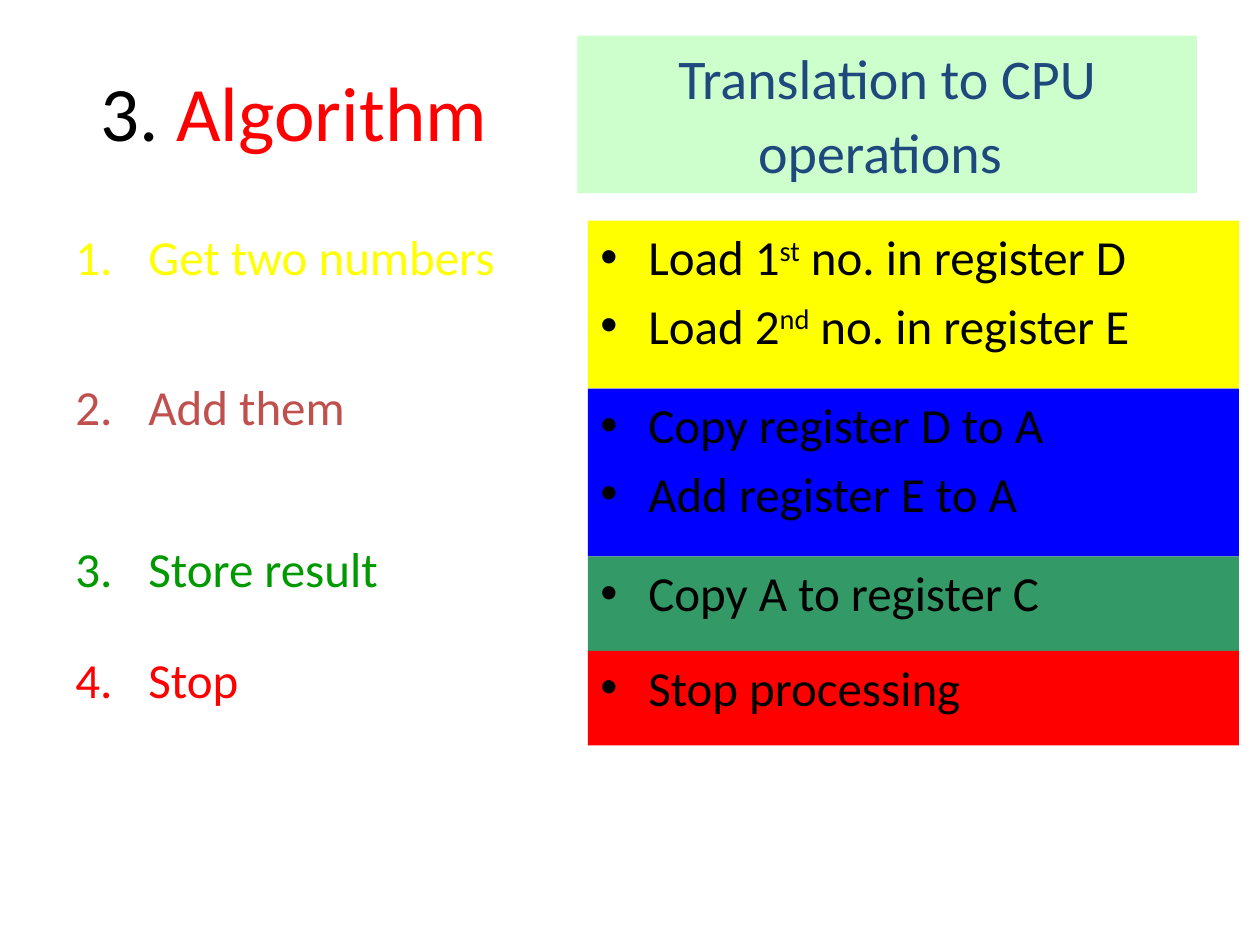
from lxml.etree import SubElement
from pptx import Presentation
from pptx.dml.color import RGBColor
from pptx.enum.shapes import MSO_SHAPE
from pptx.enum.text import MSO_ANCHOR, PP_ALIGN
from pptx.oxml.ns import qn
from pptx.util import Inches, Pt

UNIT = Inches(1) / 12  # the slide is a grid of 120 columns by 90 rows
FONT = "Calibri"
BODY_SIZE = 28
BULLET_GAP = 5.6
COLORS = {
    "black": "000000", "yellow": "FFFF00", "brick": "C0504D", "green": "009900",
    "red": "FF0000", "navy": "1F497D", "mint": "CCFFCC", "blue": "0000FF",
    "sea": "339966",
}
RIGHT_COL, RIGHT_COLS, BODY_ROW = 56, 62, 21

# Step, colour, space before it in points
STEPS = [
    ("Get two numbers", "yellow", 0),
    ("Add them", "brick", 52),
    ("Store result", "green", 59),
    ("Stop", "red", 30),
]

# Fill, rows, bullets; each bullet is a list of (text, is superscript)
OPERATIONS = [
    ("yellow", 16, [
        [("Load 1", False), ("st", True), (" no. in register D", False)],
        [("Load 2", False), ("nd", True), (" no. in register E", False)],
    ]),
    ("blue", 16, [[("Copy register D to A", False)],
                  [("Add register E to A", False)]]),
    ("sea", 9, [[("Copy A to register C", False)]]),
    ("red", 9, [[("Stop processing", False)]]),
]


def rgb(color):
    return RGBColor.from_string(COLORS[color])


def grid(*cells):
    return [round(cell * UNIT) for cell in cells]


def add_run(paragraph, text, size, color, superscript=False):
    run = paragraph.add_run()
    run.text = text
    run.font.name = FONT
    run.font.size = Pt(size)
    run.font.color.rgb = rgb(color)
    if superscript:
        run.font._element.set("baseline", "30000")


def add_text_area(slide, col, row, cols, rows, anchor=MSO_ANCHOR.TOP):
    frame = slide.shapes.add_textbox(*grid(col, row, cols, rows)).text_frame
    frame.word_wrap = True
    frame.vertical_anchor = anchor
    return frame


def add_panel(slide, col, row, cols, rows, fill, anchor=MSO_ANCHOR.TOP):
    panel = slide.shapes.add_shape(MSO_SHAPE.RECTANGLE, *grid(col, row, cols, rows))
    panel.shadow.inherit = False
    panel.fill.solid()
    panel.fill.fore_color.rgb = rgb(fill)
    panel.line.fill.background()
    panel.text_frame.vertical_anchor = anchor
    return panel.text_frame


def add_list_item(frame, index, indent, space_before, marker, **marker_settings):
    item = frame.add_paragraph() if index else frame.paragraphs[0]
    item.alignment = PP_ALIGN.LEFT
    item.space_before = Pt(space_before)
    properties = item._p.get_or_add_pPr()
    properties.set("marL", str(Inches(indent)))
    properties.set("indent", str(-Inches(indent)))
    if marker == "a:buChar":
        SubElement(properties, qn("a:buFont"), typeface="Arial")
    SubElement(properties, qn(marker), **marker_settings)
    return item


def add_headings(slide):
    title = add_text_area(slide, 5, 3, 46, 15, MSO_ANCHOR.MIDDLE).paragraphs[0]
    title.alignment = PP_ALIGN.CENTER
    add_run(title, "3.", 44, "black")
    add_run(title, " Algorithm", 44, "red")

    translation = add_panel(slide, 55, 3.4, 59, 15, "mint",
                            MSO_ANCHOR.MIDDLE).paragraphs[0]
    translation.alignment = PP_ALIGN.CENTER
    add_run(translation, "Translation to CPU operations", 32, "navy")
    add_run(translation, " ", 36, "navy")


def add_steps(slide):
    frame = add_text_area(slide, 6, BODY_ROW, 48, 59.4)
    for index, (step, color, gap) in enumerate(STEPS):
        item = add_list_item(frame, index, 0.58, gap, "a:buAutoNum",
                             type="arabicPeriod", startAt=str(index + 1))
        add_run(item, step, BODY_SIZE, color)


def add_operations(slide):
    row = BODY_ROW
    for fill, rows, bullets in OPERATIONS:
        frame = add_panel(slide, RIGHT_COL, row, RIGHT_COLS, rows, fill)
        for index, pieces in enumerate(bullets):
            item = add_list_item(frame, index, 0.38, BULLET_GAP if index else 0,
                                 "a:buChar", char="•")
            for text, superscript in pieces:
                add_run(item, text, BODY_SIZE, "black", superscript)
        row += rows


def main():
    presentation = Presentation()
    presentation.slide_width, presentation.slide_height = grid(120, 90)
    slide = presentation.slides.add_slide(presentation.slide_layouts[6])
    add_headings(slide)
    add_steps(slide)
    add_operations(slide)
    presentation.save("out.pptx")


if __name__ == "__main__":
    main()
